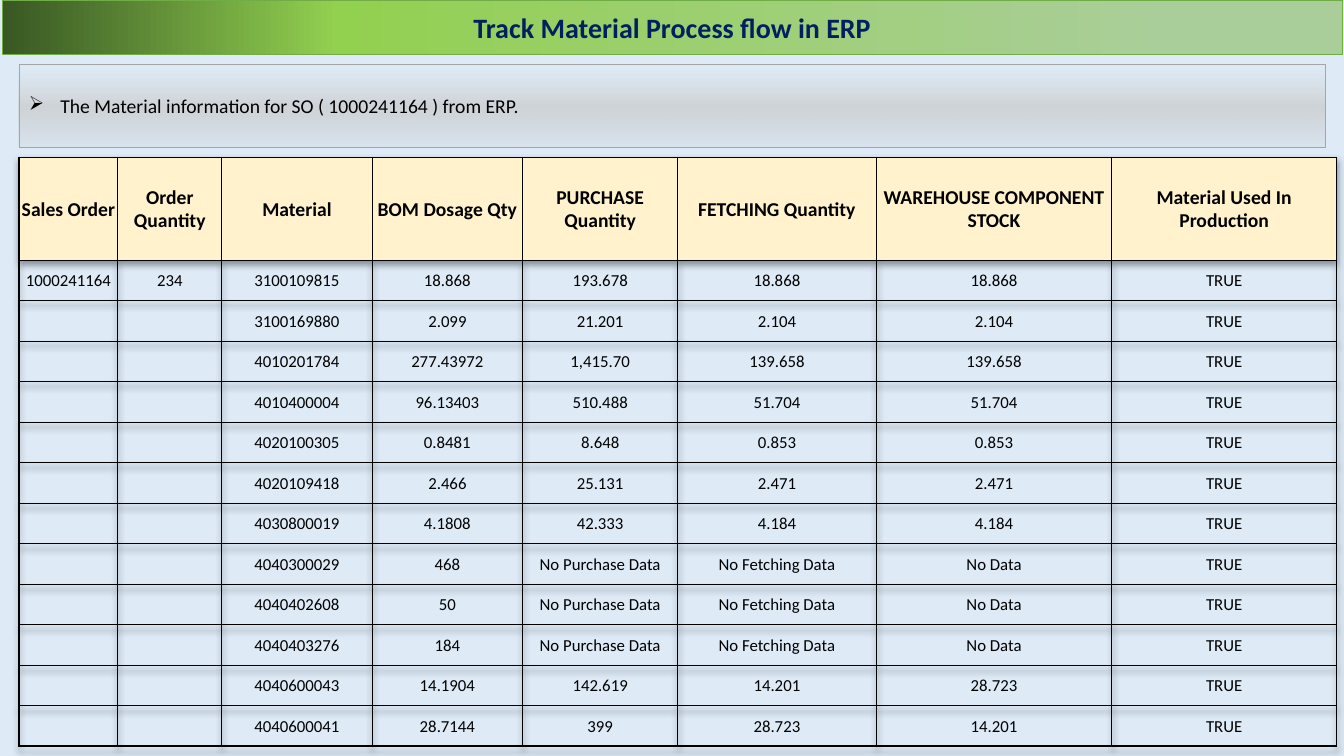
from dataclasses import dataclass

from lxml import etree
from pptx import Presentation
from pptx import util as u
from pptx.dml.color import RGBColor
from pptx.enum import shapes, text
from pptx.oxml import ns, parse_xml

NS = ns.nsdecls("a")
CENTER = text.PP_ALIGN.CENTER
HEADERS = ["Sales Order", "Order Quantity", "Material", "BOM Dosage Qty",
           "PURCHASE Quantity", "FETCHING Quantity",
           "WAREHOUSE COMPONENT STOCK", "Material Used In Production"]
COLUMN_WIDTHS = [2.49, 2.62, 3.79, 3.79, 3.91, 5.0, 5.94, 5.66]
ROW_HEIGHTS = [2.6] + [1.02] * 12
ORDER = ["1000241164", "234"]
NO_DATA = ["No Purchase Data", "No Fetching Data", "No Data"]
MATERIALS = [
    ["3100109815", "18.868", "193.678", "18.868", "18.868"],
    ["3100169880", "2.099", "21.201", "2.104", "2.104"],
    ["4010201784", "277.43972", "1,415.70", "139.658", "139.658"],
    ["4010400004", "96.13403", "510.488", "51.704", "51.704"],
    ["4020100305", "0.8481", "8.648", "0.853", "0.853"],
    ["4020109418", "2.466", "25.131", "2.471", "2.471"],
    ["4030800019", "4.1808", "42.333", "4.184", "4.184"],
    ["4040300029", "468", *NO_DATA],
    ["4040402608", "50", *NO_DATA],
    ["4040403276", "184", *NO_DATA],
    ["4040600043", "14.1904", "142.619", "14.201", "28.723"],
    ["4040600041", "28.7144", "399", "28.723", "14.201"],
]


@dataclass(frozen=True)
class Theme:
    """Colours, font and type sizes of the slide."""
    font: str = "Calibri"
    background: str = "DEEBF7"
    ink: str = "000000"
    title_ink: str = "002060"
    header_fill: str = "FFF2CC"
    title_line: str = "70AD47"
    panel_line: str = "A5A5A5"
    title_stops: tuple = ((0, "385723", 100), (25, "92D050", 100), (87, "AACE9A", 100))
    panel_stops: tuple = ((0, "D2D2D2", 0), (50, "C8C8C8", 68), (100, "C0C0C0", 15))
    title_size: int = 20
    body_size: int = 14
    cell_size: int = 12


class SlideBuilder:
    """Holds the theme and the current slide."""

    def __init__(self, prs, theme):
        """Add a blank slide with the theme background."""
        self.theme = theme
        self.s = prs.slides.add_slide(prs.slide_layouts[6])
        fill = self.s.background.fill
        fill.solid()
        fill.fore_color.rgb = RGBColor.from_string(theme.background)

    def run(self, p, content, size, color, bold=False):
        """Put one formatted run in a paragraph."""
        r = p.add_run()
        r.text = content
        formats = {"name": self.theme.font, "size": u.Pt(size), "bold": bold}
        for name, value in formats.items():
            setattr(r.font, name, value)
        r.font.color.rgb = RGBColor.from_string(color)

    def gradient_box(self, box, stops, angle, line):
        """Draw a gradient rectangle and return its first paragraph."""
        sp = self.s.shapes.add_shape(shapes.MSO_SHAPE.RECTANGLE, *map(u.Cm, box))
        sp.shadow.inherit = False
        sp.line.color.rgb = RGBColor.from_string(line)
        sp.line.width = u.Pt(0.5)
        marks = "".join(
            f'<a:gs pos="{pos * 1000}"><a:srgbClr val="{color}">'
            f'<a:alpha val="{alpha * 1000}"/></a:srgbClr></a:gs>'
            for pos, color, alpha in stops)
        grad = parse_xml(f'<a:gradFill {NS} rotWithShape="1"><a:gsLst>{marks}</a:gsLst>'
                         f'<a:lin ang="{angle * 60000}" scaled="0"/></a:gradFill>')
        sp.element.spPr.find(ns.qn("a:prstGeom")).addnext(grad)
        tf = sp.text_frame
        tf.word_wrap = True
        tf.vertical_anchor = text.MSO_ANCHOR.MIDDLE
        return tf.paragraphs[0]

    def title(self, box, content):
        """Draw the title bar."""
        t = self.theme
        p = self.gradient_box(box, t.title_stops, 0, t.title_line)
        p.alignment = CENTER
        self.run(p, content, t.title_size, t.title_ink, True)

    def bullet_panel(self, box, content):
        """Draw the panel with one arrow bullet."""
        t = self.theme
        p = self.gradient_box(box, t.panel_stops, 90, t.panel_line)
        p.alignment = text.PP_ALIGN.LEFT
        pPr = p._p.get_or_add_pPr()
        indent = u.Cm(0.79)
        pPr.set("marL", str(indent))
        pPr.set("indent", str(-indent))
        pPr.append(parse_xml(f'<a:buClr {NS}><a:srgbClr val="{t.ink}"/></a:buClr>'))
        etree.SubElement(pPr, ns.qn("a:buChar"), char="➢")
        self.run(p, content, t.body_size, t.ink)

    def cell(self, cell, content, header):
        """Format and fill one table cell."""
        t = self.theme
        formats = {"margin_left": u.Cm(0.03), "margin_right": u.Cm(0.03),
                   "margin_top": u.Cm(0.03), "margin_bottom": 0,
                   "vertical_anchor": text.MSO_ANCHOR.MIDDLE}
        for name, value in formats.items():
            setattr(cell, name, value)
        if header:
            cell.fill.solid()
            cell.fill.fore_color.rgb = RGBColor.from_string(t.header_fill)
        else:
            cell.fill.background()
        tcPr = cell._tc.get_or_add_tcPr()
        for i, side in enumerate("LRTB"):
            tcPr.insert(i, parse_xml(
                f'<a:ln{side} {NS} w="12700"><a:solidFill><a:srgbClr val="{t.ink}"/>'
                f'</a:solidFill></a:ln{side}>'))
        if content:
            p = cell.text_frame.paragraphs[0]
            p.alignment = CENTER
            self.run(p, content, t.body_size if header else t.cell_size, t.ink, header)

    def table(self, left, top, widths, heights, rows):
        """Draw the bordered table with its soft shadow."""
        box = (left, top, sum(widths), sum(heights))
        table = self.s.shapes.add_table(len(rows), len(widths), *map(u.Cm, box)).table
        table.first_row = table.horz_banding = False
        table._tbl.tblPr.insert(0, parse_xml(
            f'<a:effectLst {NS}><a:outerShdw blurRad="50800" dist="38100" dir="5400000" '
            f'algn="t" rotWithShape="0"><a:srgbClr val="{self.theme.ink}">'
            f'<a:alpha val="40000"/></a:srgbClr></a:outerShdw></a:effectLst>'))
        for column, width in zip(table.columns, widths):
            column.width = u.Cm(width)
        for i, (height, row) in enumerate(zip(heights, rows)):
            table.rows[i].height = u.Cm(height)
            for j, content in enumerate(row):
                self.cell(table.cell(i, j), content, i == 0)


def main():
    """Build and save the slide."""
    prs = Presentation()
    prs.slide_width, prs.slide_height = u.Cm(33.87), u.Cm(19.05)
    slide = SlideBuilder(prs, Theme())
    rows = [HEADERS] + [(ORDER if i == 0 else ["", ""]) + material + ["TRUE"]
                        for i, material in enumerate(MATERIALS)]
    slide.table(0.48, 3.96, COLUMN_WIDTHS, ROW_HEIGHTS, rows)
    slide.title((0.05, 0, 33.78, 1.37), "Track Material Process flow in ERP")
    slide.bullet_panel((0.48, 1.62, 32.92, 2.1),
                       "The Material information for SO ( 1000241164 ) from ERP.")
    prs.save("out.pptx")


if __name__ == "__main__":
    main()
